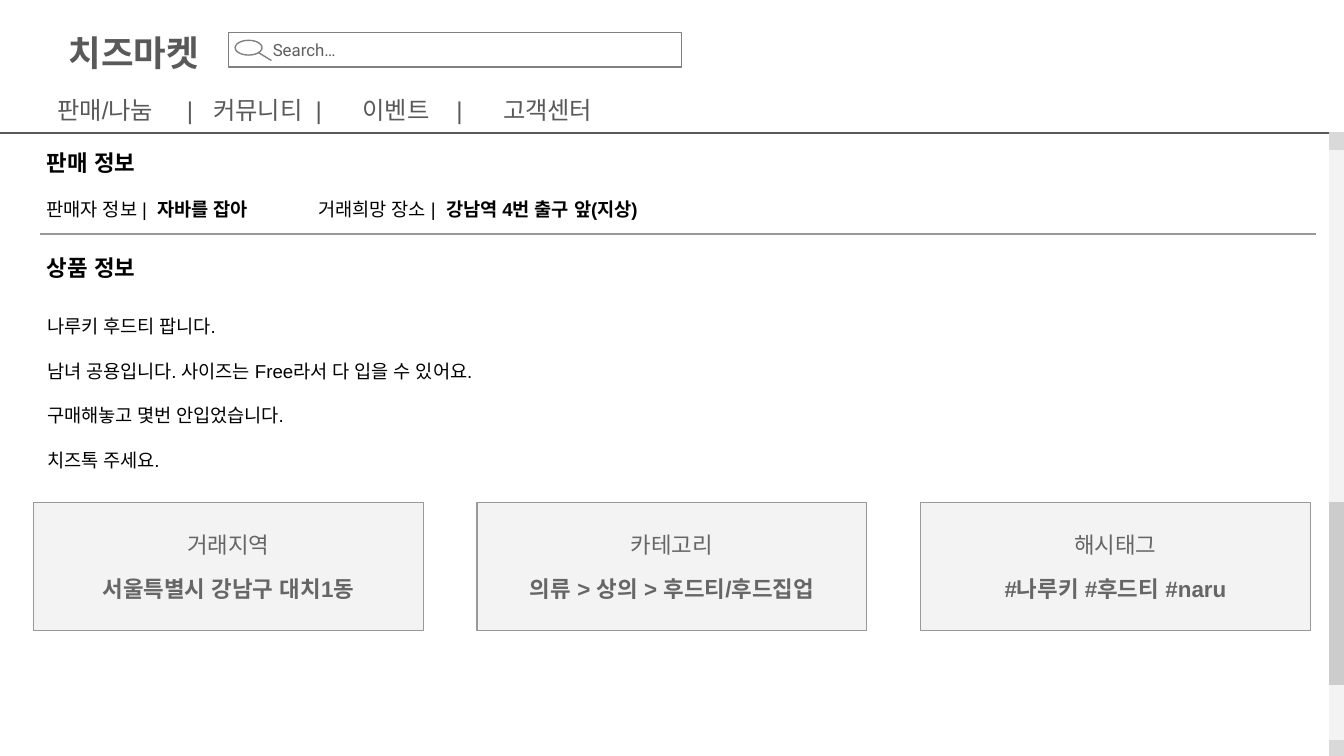
"""Build the product detail page of a second-hand market."""
from lxml import etree
from pptx import Presentation, util as u
from pptx.dml.color import RGBColor
from pptx.enum import lang, shapes, text
from pptx.oxml.ns import qn

BLACK = RGBColor(0, 0, 0)
WHITE = RGBColor(255, 255, 255)
DARK = RGBColor(0x59, 0x59, 0x59)
HINT = RGBColor(0x5F, 0x5F, 0x5F)
GRAY = RGBColor(0x66, 0x66, 0x66)
EDGE = RGBColor(0x80, 0x80, 0x80)
RULE = RGBColor(0x99, 0x99, 0x99)
THUMB = RGBColor(0xCC, 0xCC, 0xCC)
CAP = RGBColor(0xD9, 0xD9, 0xD9)
PALE = RGBColor(0xF3, 0xF3, 0xF3)

BRAND = "치즈마켓"
MENU = ["판매/나눔", "|", "커뮤니티", "|", "이벤트", "|", "고객센터"]
GAPS = [5, 3, 2, 6, 4, 6]
HEADS = [("판매 정보", 10.1), ("상품 정보", 17.9)]
FACTS = [
    ("판매자 정보 |", "자바를 잡아", 2.5, 19.4),
    ("거래희망 장소 |", "강남역 4번 출구 앞(지상)", 22.7, 38.2),
]
STORY = [
    "나루키 후드티 팝니다.",
    "남녀 공용입니다. 사이즈는 Free라서 다 입을 수 있어요.",
    "구매해놓고 몇번 안입었습니다.",
    "치즈톡 주세요.",
]
CARDS = [
    ("거래지역", "서울특별시 강남구 대치1동"),
    ("카테고리", "의류 > 상의 > 후드티/후드집업"),
    ("해시태그", "#나루키 #후드티 #naru"),
]
BAR = [(10, 46.2, PALE), (9.9, 1.2, CAP), (55.1, 1.2, CAP), (37.4, 13.5, THUMB)]
RULES = [(0, 9.9, 99.9, 9.9, DARK), (3, 17.4, 97.9, 17.4, RULE)]
BLANK = 0.28

deck = Presentation()
deck.slide_width = u.Inches(10)
deck.slide_height = deck.slide_width * 9 // 16
UNIT = deck.slide_width / 100
page = deck.slides.add_slide(deck.slide_layouts[1])
kit = page.shapes


def grid(*vals):
    return [round(v * UNIT) for v in vals]


def place(item, *area):
    item.left, item.top, item.width, item.height = grid(*area)
    return item


def style(run, size, color, bold=False, font="Arial"):
    run.font.size, run.font.bold, run.font.name = u.Pt(size), bold, font
    run.font.color.rgb = color
    run.font.language_id = lang.MSO_LANGUAGE_ID.KOREAN
    for tag in ("a:ea", "a:cs"):
        etree.SubElement(run._r.get_or_add_rPr(), qn(tag), typeface=font)


def write(item, lines, size, color, bold=False, font="Arial", gap=0,
          align=text.PP_ALIGN.LEFT, anchor=text.MSO_ANCHOR.TOP, pad=(1, 1)):
    frame = item.text_frame
    frame.text = "\n".join(lines)
    frame.word_wrap = True
    frame.auto_size = text.MSO_AUTO_SIZE.NONE
    frame.vertical_anchor = anchor
    frame.margin_left, frame.margin_top = grid(*pad)
    frame.margin_right, frame.margin_bottom = grid(1, pad[1])
    for i, para in enumerate(frame.paragraphs):
        prop = para._p.get_or_add_pPr()
        prop.set("marL", "0")
        prop.set("indent", "0")
        para.alignment = align
        para.space_before = u.Pt(gap if i else 0)
        etree.SubElement(prop, qn("a:buNone"))
        for run in para.runs:
            style(run, size, color, bold, font)
    return frame


def extend(frame, word, wide, size, color, bold=False):
    para = frame.paragraphs[0]
    space, run = para.add_run(), para.add_run()
    space.text, run.text = " ", word
    style(space, size, color)
    style(run, size, color, bold)
    extra = round((wide - 1) * BLANK * size * 100)
    space._r.get_or_add_rPr().set("spc", str(extra))


def block(area, fill, edge, kind=shapes.MSO_SHAPE.RECTANGLE):
    item = kit.add_shape(kind, *grid(*area))
    item.shadow.inherit = False
    item.fill.solid()
    item.fill.fore_color.rgb = fill
    item.line.color.rgb = edge
    item.line.width = u.Pt(0.75)
    return item


def rule(x1, y1, x2, y2, color):
    item = kit.add_connector(shapes.MSO_CONNECTOR.STRAIGHT, *grid(x1, y1, x2, y2))
    item.line.color.rgb = color
    item.line.width = u.Pt(0.75)
    etree.SubElement(item._element.spPr, qn("a:effectLst"))


def main():
    mid, center = text.MSO_ANCHOR.MIDDLE, text.PP_ALIGN.CENTER
    write(place(kit.title, 2.6, 1.3, 14.7, 5.2), [BRAND], 19, DARK, True, align=center)
    write(place(kit.placeholders[1], 2.5, 22.4, 59.1, 13.8), STORY, 10, BLACK, gap=12)

    for ends in RULES:
        rule(*ends)
    for head, top in HEADS:
        write(kit.add_textbox(*grid(2.5, top, 13.6, 4)), [head], 12, BLACK, True)
    for label, value, left, width in FACTS:
        box = kit.add_textbox(*grid(left, 13.7, width, 3.7))
        extend(write(box, [label], 10, BLACK), value, 2, 10, BLACK, True)

    for top, height, color in BAR:
        block((98.9, top, 1.1, height), color, color)
    for i, card in enumerate(CARDS):
        box = block((2.5 + 33 * i, 37.4, 29, 9.5), PALE, RULE)
        frame = write(box, card, 12, GRAY, gap=9.4, align=center, anchor=mid)
        frame.paragraphs[1].runs[0].font.bold = True

    menu = write(kit.add_textbox(*grid(3.3, 6.1, 51.1, 3)), MENU[:1], 13, DARK)
    for word, wide in zip(MENU[1:], GAPS):
        extend(menu, word, wide, 13, DARK)
    find = block((17, 2.4, 33.7, 2.6), WHITE, EDGE)
    write(find, ["Search…"], 9, HINT, font="Roboto", anchor=mid, pad=(3.3, 0.6))
    block((17.5, 3, 2, 1.1), WHITE, EDGE, shapes.MSO_SHAPE.OVAL)
    rule(19.2, 3.9, 20.2, 4.5, EDGE)
    deck.save("out.pptx")


if __name__ == "__main__":
    main()
